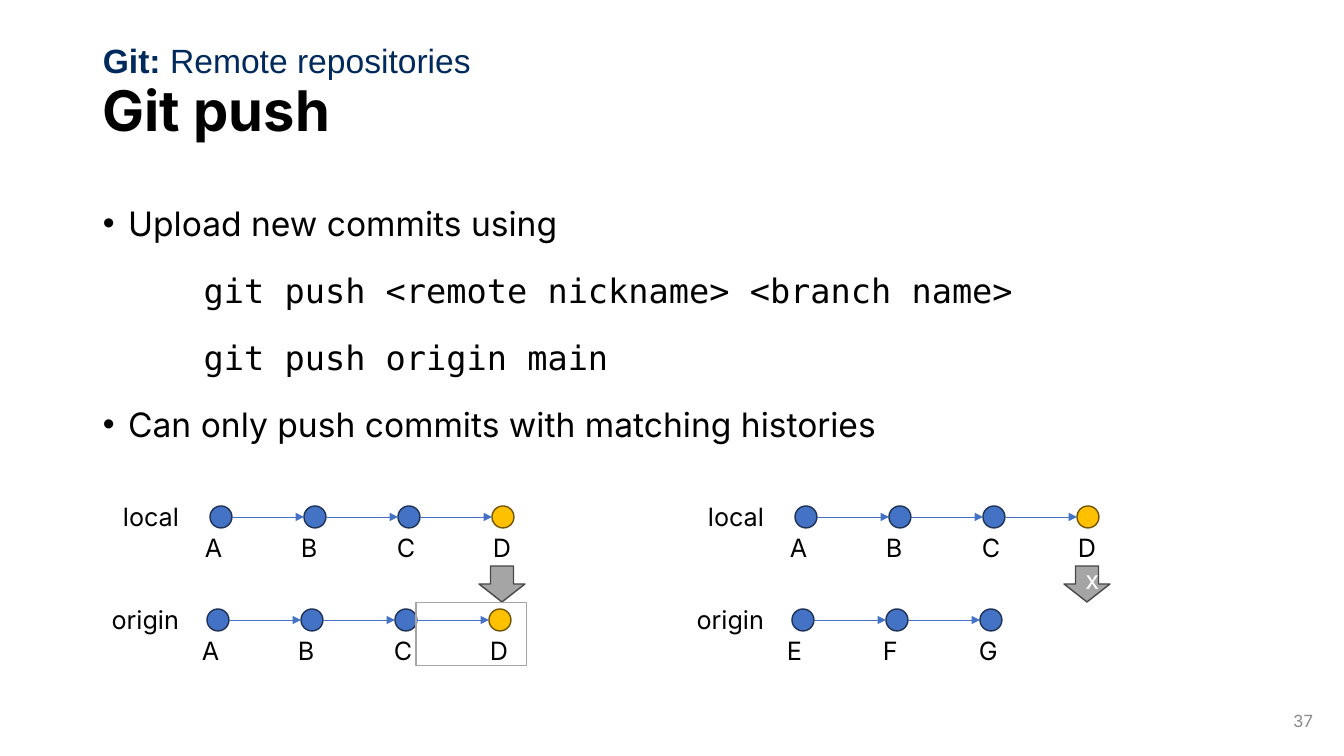
from lxml import etree
from pptx import Presentation
from pptx.dml.color import RGBColor
from pptx.enum.shapes import MSO_CONNECTOR, MSO_SHAPE
from pptx.enum.text import MSO_ANCHOR, MSO_AUTO_SIZE, PP_ALIGN
from pptx.oxml.ns import qn
from pptx.util import Pt

EMU_PER_PX = 914400 / 100.8
BLANK_LAYOUT = 6

ELLIPSE = MSO_SHAPE.OVAL
RECTANGLE = MSO_SHAPE.RECTANGLE
DOWN_ARROW = MSO_SHAPE.DOWN_ARROW
STRAIGHT = MSO_CONNECTOR.STRAIGHT
TOP = MSO_ANCHOR.TOP
MIDDLE = MSO_ANCHOR.MIDDLE
FIT_SHAPE = MSO_AUTO_SIZE.SHAPE_TO_FIT_TEXT
LEFT = PP_ALIGN.LEFT
CENTER = PP_ALIGN.CENTER
RIGHT = PP_ALIGN.RIGHT

BLACK = RGBColor(0x00, 0x00, 0x00)
WHITE = RGBColor(0xFF, 0xFF, 0xFF)
NAVY = RGBColor(0x00, 0x2A, 0x5C)
BLUE = RGBColor(0x44, 0x72, 0xC4)
DARK_BLUE = RGBColor(0x1E, 0x32, 0x56)
GOLD = RGBColor(0xFF, 0xC0, 0x00)
DARK_GOLD = RGBColor(0x70, 0x54, 0x00)
GRAY = RGBColor(0xA5, 0xA5, 0xA5)
DARK_GRAY = RGBColor(0x48, 0x48, 0x48)
NUMBER_GRAY = RGBColor(0x8C, 0x8C, 0x8C)

SANS = "Inter"
MONO = "DejaVu Sans Mono"
HEADER_FONT = "Arial"

NODE_SIZE = 22
NODE_STEP = 94
LETTER_STEP = 96
LOCAL_TOP = 506
ORIGIN_TOP = 609
PANEL_OFFSET = 585


def px(length):
    return round(length * EMU_PER_PX)


def add_run(paragraph, text, size, color=BLACK, font=SANS, bold=False):
    run = paragraph.add_run()
    run.text = text
    run.font.size = Pt(size)
    run.font.name = font
    run.font.bold = bold
    run.font.color.rgb = color


def add_text_box(shapes, left, top, width, height, anchor=TOP):
    box = shapes.add_textbox(px(left), px(top), px(width), px(height))
    box.text_frame.word_wrap = True
    box.text_frame.vertical_anchor = anchor
    return box.text_frame


def add_label(shapes, text, left, top, width, align=LEFT):
    frame = add_text_box(shapes, left, top, width, 40)
    frame.word_wrap = False
    frame.auto_size = FIT_SHAPE
    paragraph = frame.paragraphs[0]
    paragraph.alignment = align
    add_run(paragraph, text, 18)


def add_outlined_shape(shapes, kind, left, top, width, height, fill, line, line_width=1):
    shape = shapes.add_shape(kind, px(left), px(top), px(width), px(height))
    shape.shadow.inherit = False
    if fill is None:
        shape.fill.background()
    else:
        shape.fill.solid()
        shape.fill.fore_color.rgb = fill
    shape.line.color.rgb = line
    shape.line.width = Pt(line_width)
    return shape


def add_arrow(shapes, start, end, y):
    connector = shapes.add_connector(STRAIGHT, px(start), px(y), px(end), px(y))
    connector.line.color.rgb = BLUE
    connector.line.width = Pt(0.5)
    properties = connector.element.spPr
    etree.SubElement(properties.find(qn("a:ln")), qn("a:tailEnd"), type="triangle")
    etree.SubElement(properties, qn("a:effectLst"))


def add_history(shapes, name, name_width, letters, left, top, name_right):
    for index, letter in enumerate(letters):
        node_left = left + index * NODE_STEP
        fill, line = (GOLD, DARK_GOLD) if letter == "D" else (BLUE, DARK_BLUE)
        add_outlined_shape(shapes, ELLIPSE, node_left, top, NODE_SIZE, NODE_SIZE, fill, line)
        if index:
            add_arrow(shapes, node_left - NODE_STEP + NODE_SIZE, node_left, top + NODE_SIZE // 2)
        add_label(shapes, letter, left - 15 + index * LETTER_STEP, top + 21, 38)
    add_label(shapes, name, name_right - name_width, top - 10, name_width, RIGHT)


def add_push_panel(slide, offset, origin_letters):
    shapes = slide.shapes.add_group_shape().shapes
    name_right = offset + 189
    add_history(shapes, "local", 76, "ABCD", offset + 210, LOCAL_TOP, name_right)
    add_history(shapes, "origin", 88, origin_letters, offset + 207, ORIGIN_TOP, name_right)
    arrow = add_outlined_shape(
        shapes, DOWN_ARROW, offset + 479, 566, 46, 36, GRAY, DARK_GRAY)
    if "D" in origin_letters:
        add_outlined_shape(shapes, RECTANGLE, offset + 416, 603, 111, 63, None, GRAY, 0.75)
    else:
        frame = arrow.text_frame
        frame.vertical_anchor = MIDDLE
        frame.paragraphs[0].alignment = CENTER
        add_run(frame.paragraphs[0], "x", 18, WHITE)


def add_headings(slide):
    title = add_text_box(slide.shapes, 93, 40, 1159, 146, MIDDLE).paragraphs[0]
    title.line_spacing = 0.9
    add_run(title, "Git push", 40, bold=True)
    topic = add_text_box(slide.shapes, 93, 40, 856, 50).paragraphs[0]
    topic.line_spacing = 0.9
    add_run(topic, "Git: ", 24, NAVY, HEADER_FONT, True)
    add_run(topic, "Remote repositories", 24, NAVY, HEADER_FONT)


def add_body(slide):
    lines = [
        ("Upload new commits using", SANS),
        ("git push <remote nickname> <branch name>", MONO),
        ("git push origin main", MONO),
        ("Can only push commits with matching histories", SANS),
    ]
    frame = add_text_box(slide.shapes, 93, 202, 1159, 266)
    for index, (text, font) in enumerate(lines):
        paragraph = frame.add_paragraph() if index else frame.paragraphs[0]
        properties = paragraph._p.get_or_add_pPr()
        if font == SANS:
            properties.set("marL", "228600")
            properties.set("indent", "-228600")
            etree.SubElement(properties, qn("a:buFont"), typeface="Arial")
            etree.SubElement(properties, qn("a:buChar"), char="•")
        else:
            properties.set("marL", "914400")
        paragraph.line_spacing = 0.9
        paragraph.space_before = Pt(10 if index else 0)
        paragraph.space_after = Pt(12)
        add_run(paragraph, text, 24, font=font)


def add_slide_number(slide):
    paragraph = add_text_box(slide.shapes, 1021, 701, 302, 40, MIDDLE).paragraphs[0]
    paragraph.alignment = RIGHT
    add_run(paragraph, "37", 12, NUMBER_GRAY)


def main():
    presentation = Presentation()
    presentation.slide_width = px(1344)
    presentation.slide_height = px(756)
    slide = presentation.slides.add_slide(presentation.slide_layouts[BLANK_LAYOUT])
    add_headings(slide)
    add_body(slide)
    add_slide_number(slide)
    add_push_panel(slide, PANEL_OFFSET, "EFG")
    add_push_panel(slide, 0, "ABCD")
    presentation.save("out.pptx")


if __name__ == "__main__":
    main()
